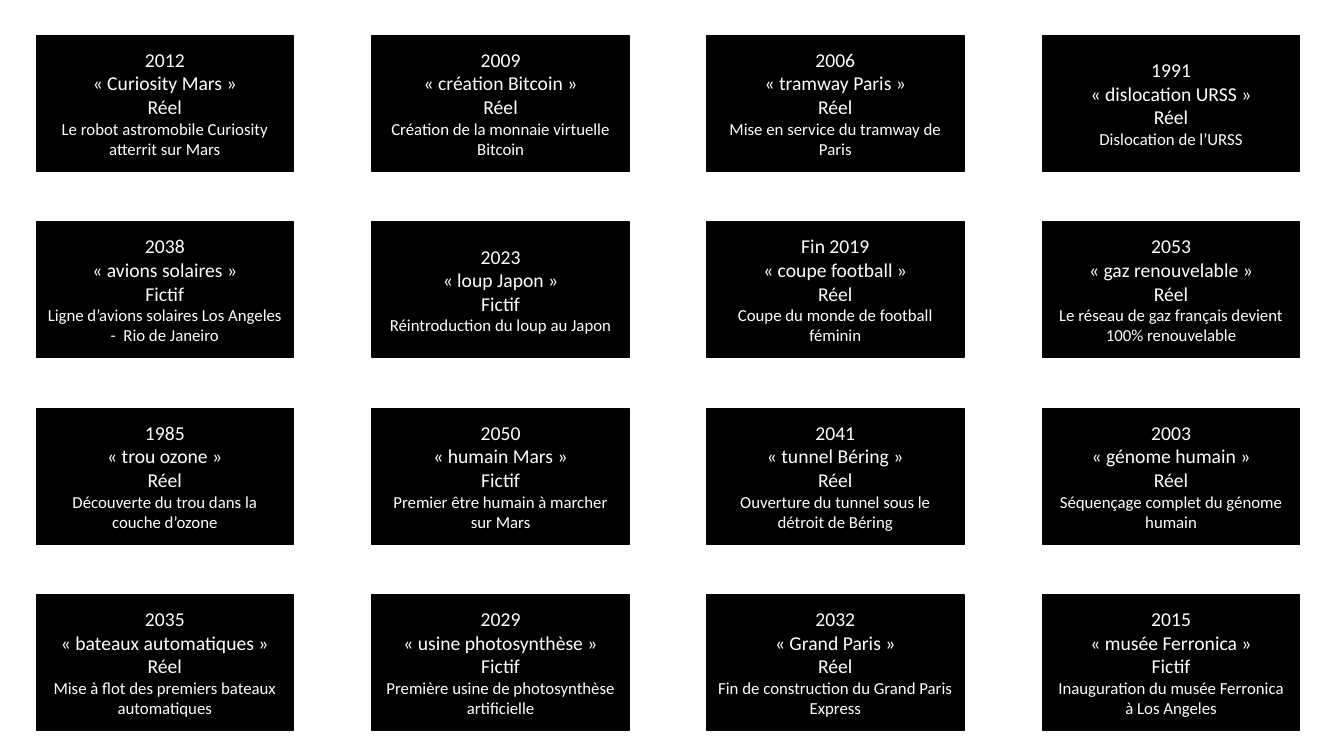
from dataclasses import dataclass

from pptx import Presentation
from pptx.dml.color import RGBColor
from pptx.enum.shapes import MSO_SHAPE as Preset
from pptx.enum.text import MSO_ANCHOR as Anchor, PP_ALIGN as Align
from pptx.util import Emu, Pt

EMU_PER_PX = 9144  # 100 px to the inch


@dataclass(frozen=True)
class Theme:
    card: RGBColor = RGBColor(0x00, 0x00, 0x00)
    text: RGBColor = RGBColor(0xFF, 0xFF, 0xFF)
    font: str = "Calibri"
    heading: Pt = Pt(14)
    description: Pt = Pt(12)
    border: Pt = Pt(1)


THEME = Theme()

SLIDE_SIZE = (1333, 750)
GRID_BOX = (36, 35, 1253, 690)
CARD_SIZE = (255, 135)

# Each card: date, keyword, real or fictional, description
EVENTS = [
    [
        ("2012", "Curiosity Mars", "Réel", "Le robot astromobile Curiosity atterrit sur Mars"),
        ("2009", "création Bitcoin", "Réel", "Création de la monnaie virtuelle Bitcoin"),
        ("2006", "tramway Paris", "Réel", "Mise en service du tramway de Paris"),
        ("1991", "dislocation URSS", "Réel", "Dislocation de l’URSS"),
    ],
    [
        ("2038", "avions solaires", "Fictif", "Ligne d’avions solaires Los Angeles -  Rio de Janeiro"),
        ("2023", "loup Japon", "Fictif", "Réintroduction du loup au Japon"),
        ("Fin 2019", "coupe football", "Réel", "Coupe du monde de football féminin"),
        ("2053", "gaz renouvelable", "Réel", "Le réseau de gaz français devient 100% renouvelable"),
    ],
    [
        ("1985", "trou ozone", "Réel", "Découverte du trou dans la couche d’ozone"),
        ("2050", "humain Mars", "Fictif", "Premier être humain à marcher sur Mars"),
        ("2041", "tunnel Béring", "Réel", "Ouverture du tunnel sous le détroit de Béring"),
        ("2003", "génome humain", "Réel", "Séquençage complet du génome humain"),
    ],
    [
        ("2035", "bateaux automatiques", "Réel", "Mise à flot des premiers bateaux automatiques"),
        ("2029", "usine photosynthèse", "Fictif", "Première usine de photosynthèse artificielle"),
        ("2032", "Grand Paris", "Réel", "Fin de construction du Grand Paris Express"),
        ("2015", "musée Ferronica", "Fictif", "Inauguration du musée Ferronica à Los Angeles"),
    ],
]


def px(length):
    return Emu(length * EMU_PER_PX)


def add_line(paragraph, wording, size):
    paragraph.alignment = Align.CENTER
    run = paragraph.add_run()
    run.text = wording
    run.font.name = THEME.font
    run.font.size = size
    run.font.color.rgb = THEME.text


def add_event_card(slide, box, event):
    card = slide.shapes.add_shape(Preset.RECTANGLE, *map(px, box))
    card.shadow.inherit = False
    card.fill.solid()
    card.fill.fore_color.rgb = THEME.card
    card.line.color.rgb = THEME.card
    card.line.width = THEME.border

    date, keyword, status, description = event
    frame = card.text_frame
    frame.word_wrap = True
    frame.vertical_anchor = Anchor.MIDDLE
    add_line(frame.paragraphs[0], date, THEME.heading)
    add_line(frame.add_paragraph(), f"« {keyword} »", THEME.heading)
    add_line(frame.add_paragraph(), status, THEME.heading)
    add_line(frame.add_paragraph(), description, THEME.description)


def add_card_grid(slide, box, rows):
    """Spread the cards evenly so that the outer ones touch the box edges."""
    left, top, width, height = box
    card_width, card_height = CARD_SIZE
    column_pitch = (width - card_width) / (len(rows[0]) - 1)
    row_pitch = (height - card_height) / (len(rows) - 1)
    for row, events in enumerate(rows):
        for column, event in enumerate(events):
            card_left = left + round(column * column_pitch)
            card_top = top + round(row * row_pitch)
            add_event_card(slide, (card_left, card_top, card_width, card_height), event)


def main():
    deck = Presentation()
    deck.slide_width, deck.slide_height = map(px, SLIDE_SIZE)
    blank_layout = deck.slide_layouts[6]
    slide = deck.slides.add_slide(blank_layout)
    add_card_grid(slide, GRID_BOX, EVENTS)
    deck.save("out.pptx")


if __name__ == "__main__":
    main()
